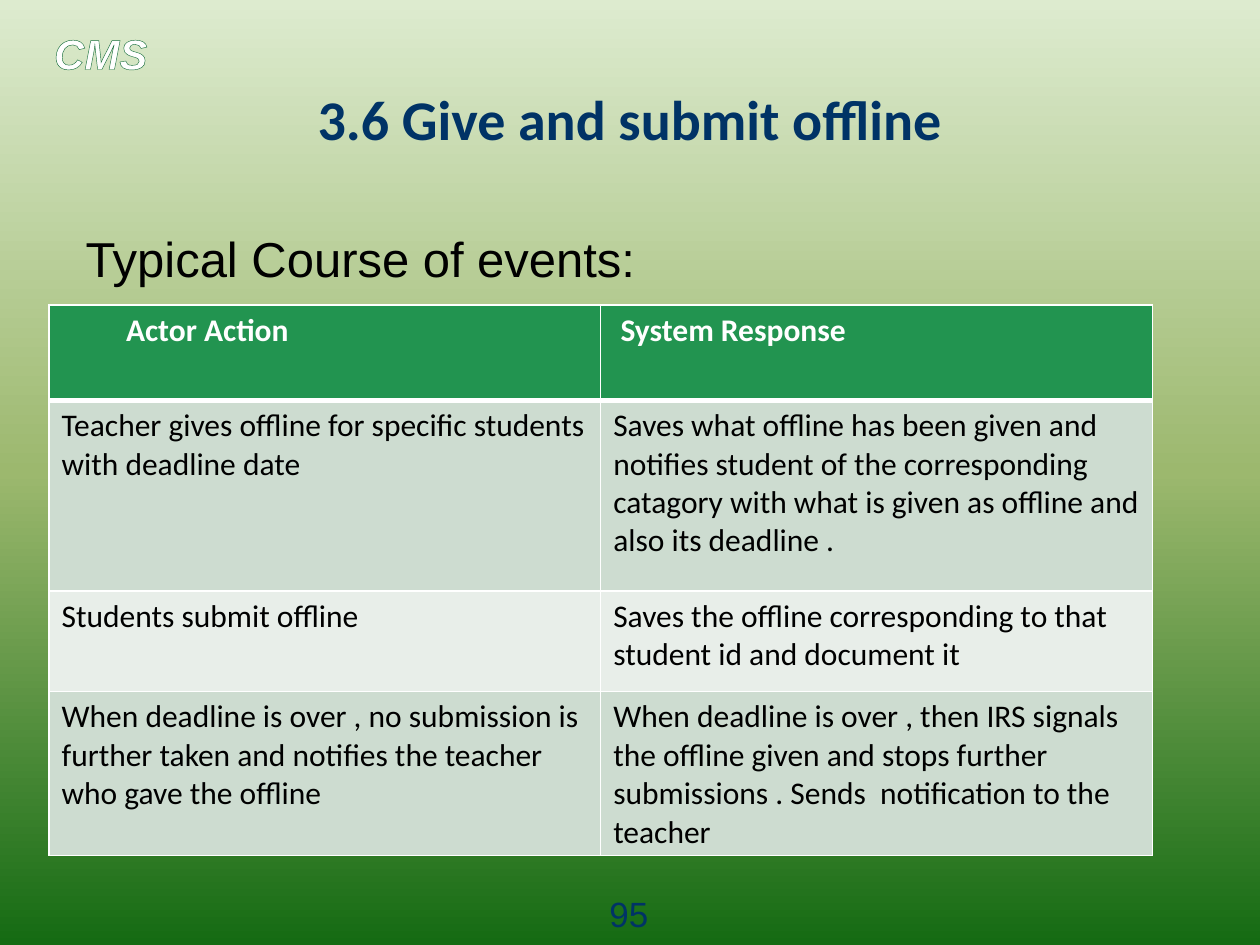
"""Build the slide on giving and submitting offlines, with its course of events table."""
from copy import deepcopy

from lxml import etree
from pptx import Presentation
from pptx.dml.color import RGBColor
from pptx.enum.text import MSO_ANCHOR, MSO_AUTO_SIZE, PP_ALIGN
from pptx.oxml.ns import qn
from pptx.util import Cm, Pt

MIDDLE = MSO_ANCHOR.MIDDLE
NO_FIT = MSO_AUTO_SIZE.NONE
CENTER, LEFT, RIGHT = PP_ALIGN.CENTER, PP_ALIGN.LEFT, PP_ALIGN.RIGHT

WHITE = RGBColor(0xFF, 0xFF, 0xFF)
BLACK = RGBColor(0x00, 0x00, 0x00)
NAVY = RGBColor(0x00, 0x33, 0x66)
OUTLINE_GREEN = RGBColor(0x19, 0x6F, 0x3C)
HEADER_GREEN = RGBColor(0x22, 0x94, 0x50)
BAND_DARK = RGBColor(0xCD, 0xDC, 0xD0)
BAND_LIGHT = RGBColor(0xE8, 0xEE, 0xE9)
BACKGROUND = [
    (0, RGBColor(0xDD, 0xEB, 0xCF)),
    (0.5, RGBColor(0x9C, 0xB8, 0x6E)),
    (1, RGBColor(0x15, 0x6B, 0x13)),
]
EVENTS = [
    ("Actor Action", "System Response"),
    (
        "Teacher gives offline for specific students with deadline date",
        "Saves what offline has been given and notifies student of the corresponding "
        "catagory with what is given as offline and also its deadline .",
    ),
    (
        "Students submit offline",
        "Saves the offline corresponding to that student id and document it",
    ),
    (
        "When deadline is over , no submission is further taken and notifies the "
        "teacher who gave the offline",
        "When deadline is over , then IRS signals the offline given and stops further "
        "submissions . Sends  notification to the teacher",
    ),
]
ROW_HEIGHTS = [1.92, 3.84, 2.03, 2.97]
HEADER_INDENTS = [1.55, 0.4]


def write(frame, text, font_name, size, color, bold=False, align=LEFT):
    frame.text = text
    paragraph = frame.paragraphs[0]
    paragraph.alignment = align
    font = paragraph.font
    font.name, font.size, font.bold = font_name, Pt(size), bold
    font.color.rgb = color
    return paragraph


def add_line(parent, tag, color, width):
    line = etree.SubElement(parent, qn(tag), w=str(Pt(width)))
    fill = etree.SubElement(line, qn("a:solidFill"))
    etree.SubElement(fill, qn("a:srgbClr"), val=str(color))
    return line


prs = Presentation()
prs.slide_width, prs.slide_height = Cm(25.4), Cm(19.05)
slide = prs.slides.add_slide(prs.slide_layouts[1])

backdrop = slide.background.fill
backdrop.gradient()
backdrop.gradient_angle = 270
stop_list = slide.element.find(".//" + qn("a:gsLst"))
stop_list.append(deepcopy(stop_list[0]))
for stop, (position, color) in zip(backdrop.gradient_stops, BACKGROUND):
    stop.position = position
    stop.color.rgb = color

course_mark = slide.shapes.add_textbox(Cm(0.84), Cm(0.43), Cm(3.81), Cm(1.27)).text_frame
course_mark.word_wrap = True
mark = write(course_mark, "CMS", "Arial", 24, WHITE, bold=True)
mark.font.italic = True
mark_properties = mark.runs[0].font
mark_properties.italic = True
run_format = course_mark._txBody.find(".//" + qn("a:rPr"))
run_format.insert(0, add_line(run_format, "a:ln", OUTLINE_GREEN, 1))

title = slide.shapes.title
title.left, title.top, title.width, title.height = Cm(1.47), Cm(1.7), Cm(17.78), Cm(1.35)
title.text_frame.auto_size = NO_FIT
title.text_frame.vertical_anchor = MIDDLE
write(title.text_frame, "3.6 Give and submit offline", "Calibri", 32, NAVY, bold=True, align=RIGHT)

body = slide.placeholders[1]
body.left, body.top, body.width, body.height = Cm(1.47), Cm(4.47), Cm(22.76), Cm(13.08)
body.text_frame.auto_size = NO_FIT
heading = write(body.text_frame, "Typical Course of events:", "Arial", 28, BLACK)
heading_format = heading._p.get_or_add_pPr()
heading_format.insert(0, etree.Element(qn("a:buNone")))

page_number = slide.shapes.add_textbox(Cm(11.51), Cm(17.86), Cm(2.34), Cm(0.74)).text_frame
page_number.word_wrap = True
write(page_number, "95", "Arial", 20, NAVY, align=CENTER)

events = slide.shapes.add_table(
    len(EVENTS), 2, Cm(0.99), Cm(6.15), Cm(22.24), Cm(sum(ROW_HEIGHTS))
).table
for r, (height, texts) in enumerate(zip(ROW_HEIGHTS, EVENTS)):
    events.rows[r].height = Cm(height)
    is_header = r == 0
    band = HEADER_GREEN if is_header else (BAND_LIGHT, BAND_DARK)[r % 2]
    for c, text in enumerate(texts):
        cell = events.cell(r, c)
        write(cell.text_frame, text, "Calibri", 18, WHITE if is_header else BLACK, bold=is_header)
        if is_header:
            cell.margin_left = Cm(HEADER_INDENTS[c])
        cell_format = cell._tc.get_or_add_tcPr()
        for side in "LRTB":
            thick = (is_header and side == "B") or (r == 1 and side == "T")
            add_line(cell_format, "a:ln" + side, WHITE, 3 if thick else 1)
        cell.fill.solid()
        cell.fill.fore_color.rgb = band

prs.save("out.pptx")
